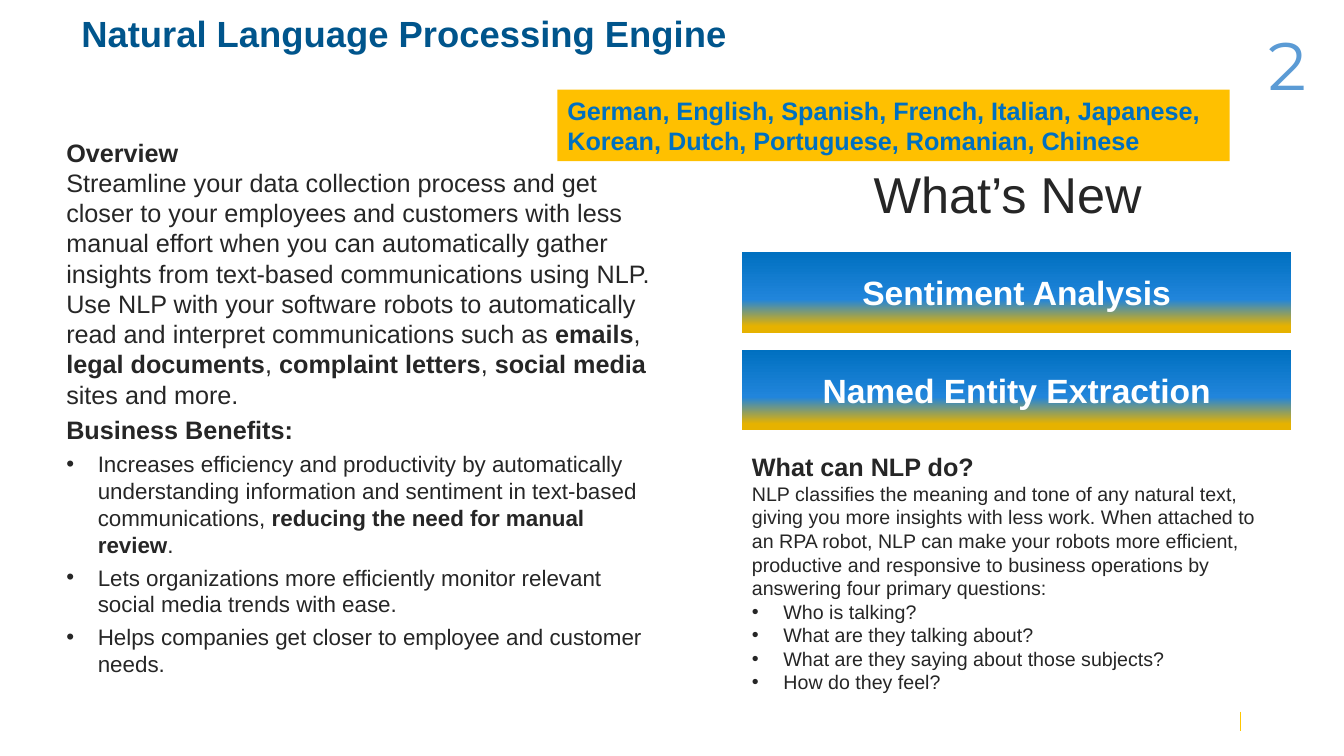
from copy import deepcopy
from dataclasses import dataclass

from lxml import etree
from pptx import Presentation
from pptx import util as u
from pptx.dml.color import RGBColor
from pptx.enum import shapes, text
from pptx.oxml import ns

NAVY = RGBColor(0x00, 0x55, 0x8C)
INK = RGBColor(0x26, 0x26, 0x26)
WHITE = RGBColor(0xFF, 0xFF, 0xFF)
BLUE = RGBColor(0x00, 0x70, 0xC0)
BRIGHT_BLUE = RGBColor(0x21, 0x85, 0xDB)
GOLD = RGBColor(0xE6, 0xB2, 0x00)
AMBER = RGBColor(0xFF, 0xC0, 0x00)
YELLOW = RGBColor(0xFF, 0xC6, 0x00)
PAGE_BLUE = RGBColor(0x5B, 0x9B, 0xD5)
BUTTON_STOPS = [(0, BLUE), (0.59, BRIGHT_BLUE), (0.92, GOLD)]
BULLET_INDENT = 22.5


@dataclass
class Box:
    left: float
    top: float
    width: float
    height: float


@dataclass
class Style:
    size: float
    color: RGBColor = INK
    bold: bool = False
    name: str = "Arial"


@dataclass
class Item:
    """One paragraph; pieces between ** marks switch bold on and off."""
    words: str
    style: Style
    bullet: bool = False
    space_before: float = 0
    centered: bool = False
    line_spacing: float = 1.0


def add_bullet(paragraph) -> None:
    properties = paragraph._p.get_or_add_pPr()
    properties.set("marL", str(u.Pt(BULLET_INDENT)))
    properties.set("indent", str(-u.Pt(BULLET_INDENT)))
    font = etree.SubElement(properties, ns.qn("a:buFont"))
    font.set("typeface", "Arial")
    etree.SubElement(properties, ns.qn("a:buChar")).set("char", "•")


def write(shape, items: list[Item], anchor=text.MSO_ANCHOR.TOP) -> None:
    frame = shape.text_frame
    frame.word_wrap = True
    frame.vertical_anchor = anchor
    for index, item in enumerate(items):
        paragraph = frame.paragraphs[0] if index == 0 else frame.add_paragraph()
        if item.bullet:
            add_bullet(paragraph)
        layout = {
            "alignment": text.PP_ALIGN.CENTER if item.centered else text.PP_ALIGN.LEFT,
            "space_before": u.Pt(item.space_before),
            "line_spacing": item.line_spacing,
        }
        for key, value in layout.items():
            setattr(paragraph, key, value)
        for number, piece in enumerate(item.words.split("**")):
            for line_number, line in enumerate(piece.split("\n")):
                if line_number:
                    paragraph.add_line_break()
                if not line:
                    continue
                run = paragraph.add_run()
                run.text = line
                run.font.color.rgb = item.style.color
                font_values = {
                    "size": u.Pt(item.style.size),
                    "name": item.style.name,
                    "bold": item.style.bold or number % 2 == 1,
                }
                for key, value in font_values.items():
                    setattr(run.font, key, value)


def add_text(slide, box: Box, items: list[Item], anchor=text.MSO_ANCHOR.TOP) -> None:
    shape = slide.shapes.add_textbox(
        u.Pt(box.left), u.Pt(box.top), u.Pt(box.width), u.Pt(box.height))
    write(shape, items, anchor)


def add_rectangle(slide, box: Box):
    shape = slide.shapes.add_shape(
        shapes.MSO_SHAPE.RECTANGLE,
        u.Pt(box.left), u.Pt(box.top), u.Pt(box.width), u.Pt(box.height))
    shape.shadow.inherit = False
    shape.line.fill.background()
    return shape


def add_button(slide, box: Box, label: str) -> None:
    shape = add_rectangle(slide, box)
    shape.fill.gradient()
    shape.fill.gradient_angle = 270
    stop_list = shape._element.spPr.find(".//" + ns.qn("a:gsLst"))
    stop_list.append(deepcopy(stop_list[-1]))
    for stop, (position, color) in zip(shape.fill.gradient_stops, BUTTON_STOPS):
        stop.position = position
        stop.color.rgb = color
    write(shape, [Item(label, Style(24, WHITE, True), centered=True)],
          text.MSO_ANCHOR.MIDDLE)


def main() -> None:
    presentation = Presentation()
    presentation.slide_width = u.Pt(960)
    presentation.slide_height = u.Pt(540)
    slide = presentation.slides.add_slide(presentation.slide_layouts[6])

    # Footer tick
    tick = slide.shapes.add_connector(
        shapes.MSO_CONNECTOR.STRAIGHT, u.Pt(886.3), u.Pt(508.3), u.Pt(886.3), u.Pt(522))
    tick.line.color.rgb = YELLOW
    tick.line.width = u.Pt(1)
    etree.SubElement(tick._element.spPr, ns.qn("a:effectLst"))

    # Title
    add_text(slide, Box(51, 10.8, 858, 67), [
        Item("Natural Language Processing Engine", Style(26, NAVY, True), line_spacing=0.8)])

    # Overview and benefits
    heading, body, benefit = Style(18, bold=True), Style(18), Style(16)
    benefits = [
        "Increases efficiency and productivity by automatically understanding information "
        "and sentiment in text-based communications, **reducing the need for manual review**.",
        "Lets organizations more efficiently monitor relevant social media trends with ease.",
        "Helps companies get closer to employee and customer needs.",
    ]
    add_text(slide, Box(40.3, 94.3, 439.2, 396.7), [
        Item("**Overview**\nStreamline your data collection process and get closer to your "
             "employees and customers with less manual effort when you can automatically "
             "gather insights from text-based communications using NLP. Use NLP with your "
             "software robots to automatically read and interpret communications such as "
             "**emails**, **legal documents**, **complaint letters**, **social media** "
             "sites and more.", body),
        Item("Business Benefits:", heading, space_before=4),
        *[Item(words, benefit, bullet=True, space_before=4) for words in benefits]])

    # What's new
    add_text(slide, Box(530, 113, 389.5, 51), [
        Item("What’s New ", Style(36), centered=True)])
    for row, label in enumerate(["Sentiment Analysis", "Named Entity Extraction"]):
        add_button(slide, Box(530, 180 + 69.8 * row, 392.4, 57.6), label)

    # What NLP can do
    answer = Style(14)
    questions = ["Who is talking?", "What are they talking about?",
                 "What are they saying about those subjects?", "How do they feel?"]
    add_text(slide, Box(530, 319, 392.4, 181.4), [
        Item("What can NLP do?", heading),
        Item("NLP classifies the meaning and tone of any natural text, giving you more "
             "insights with less work. When attached to an RPA robot, NLP can make your "
             "robots more efficient, productive and responsive to business operations by "
             "answering four primary questions:", answer),
        *[Item(question, answer, bullet=True) for question in questions]])

    # Page number
    add_text(slide, Box(885, 10.8, 69, 69), [
        Item("2", Style(48, PAGE_BLUE, name="Montserrat"), centered=True)],
        text.MSO_ANCHOR.MIDDLE)

    # Supported languages
    banner = add_rectangle(slide, Box(398.2, 64.1, 480.2, 51))
    banner.fill.solid()
    banner.fill.fore_color.rgb = AMBER
    write(banner, [Item("German, English, Spanish, French, Italian, Japanese, Korean, Dutch, "
                        "Portuguese, Romanian, Chinese", Style(18, BLUE, True))],
          text.MSO_ANCHOR.MIDDLE)

    presentation.save("out.pptx")


if __name__ == "__main__":
    main()
